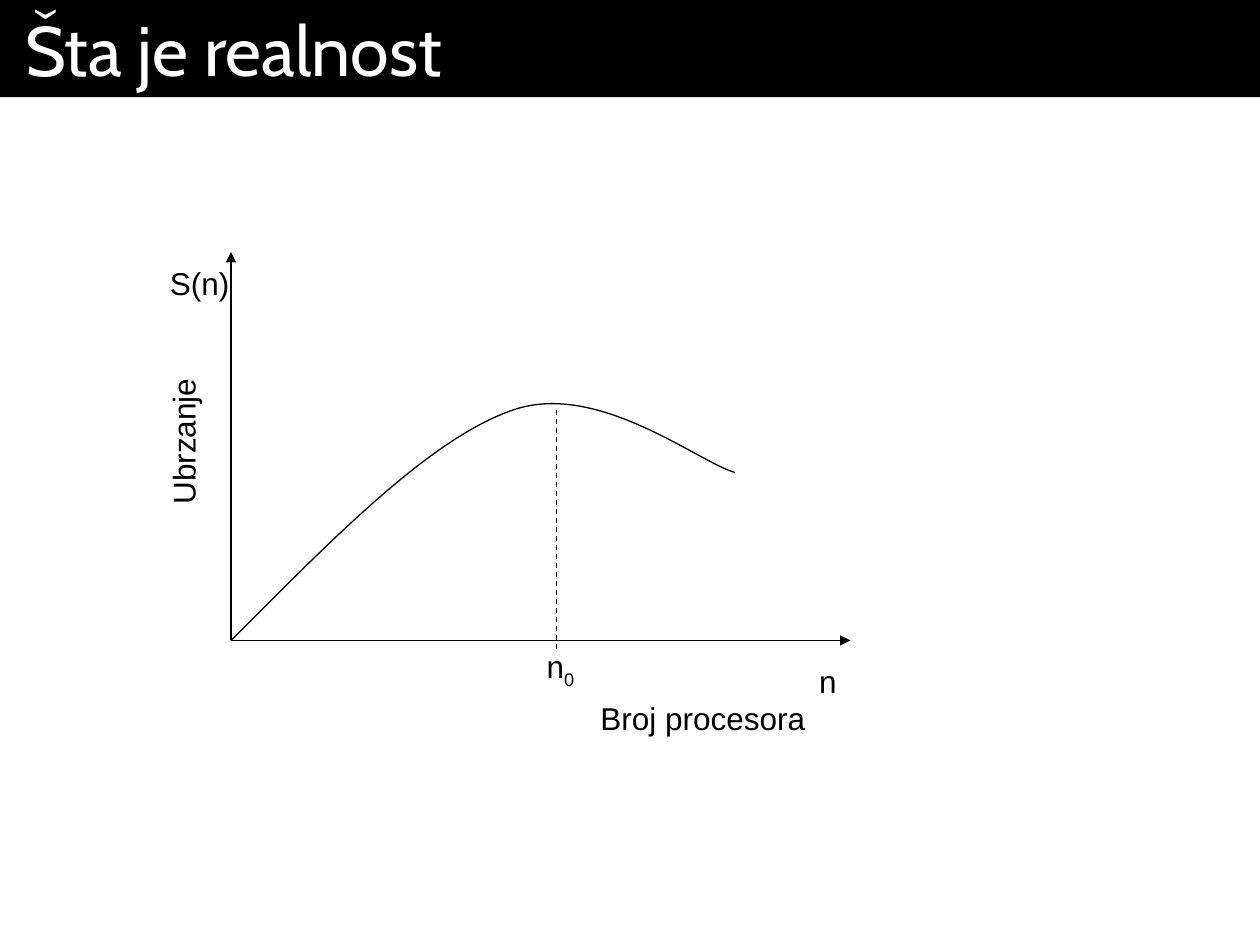
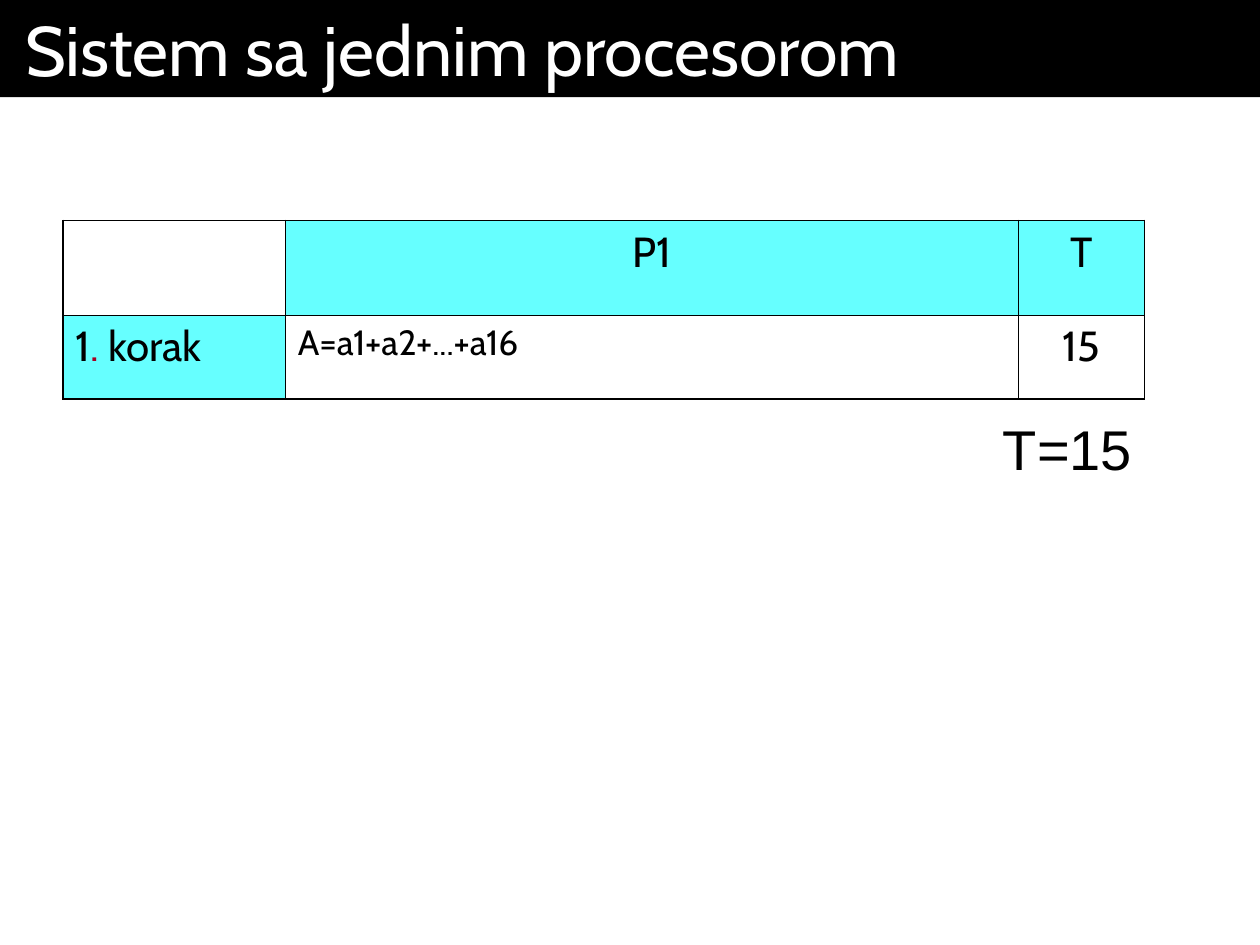
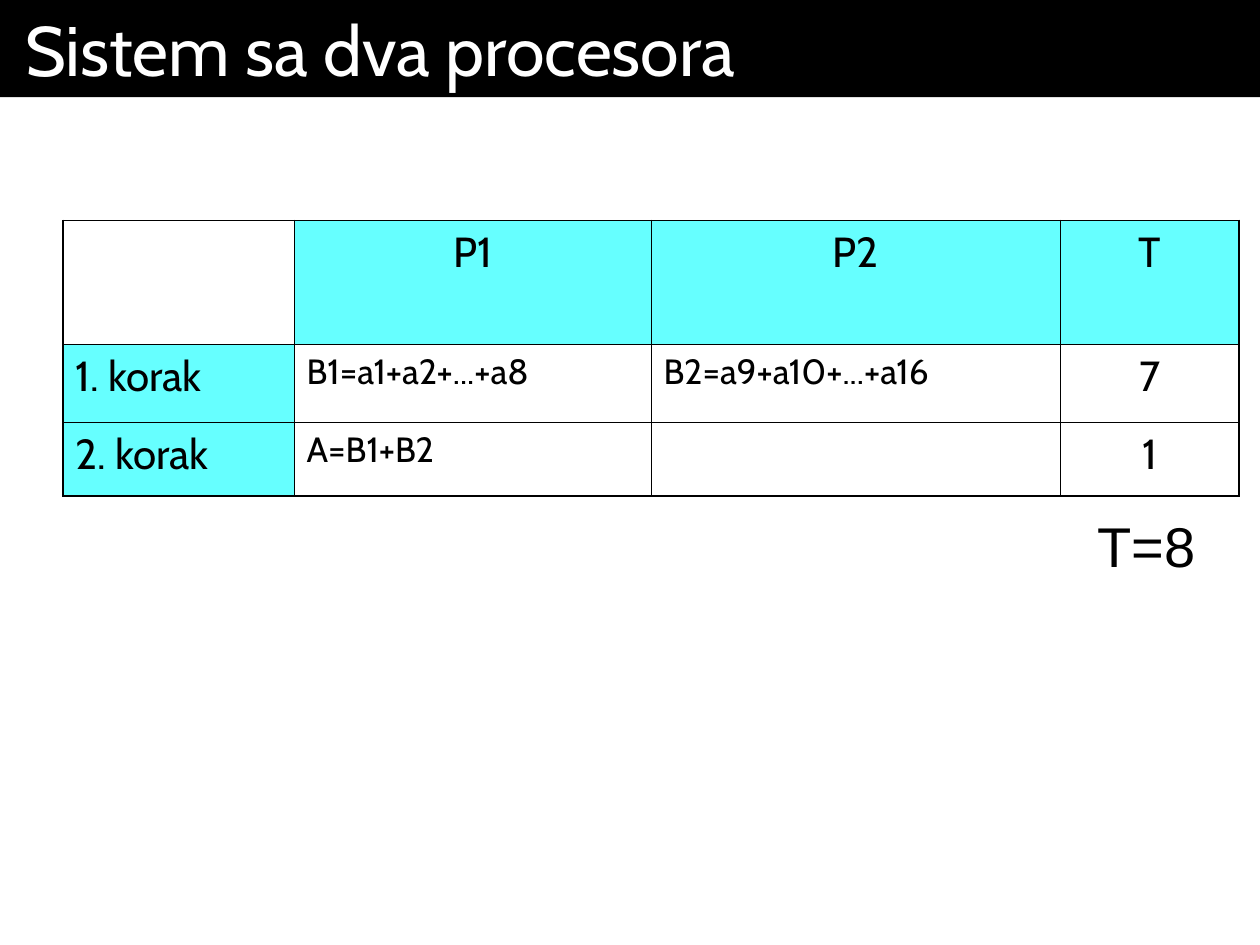
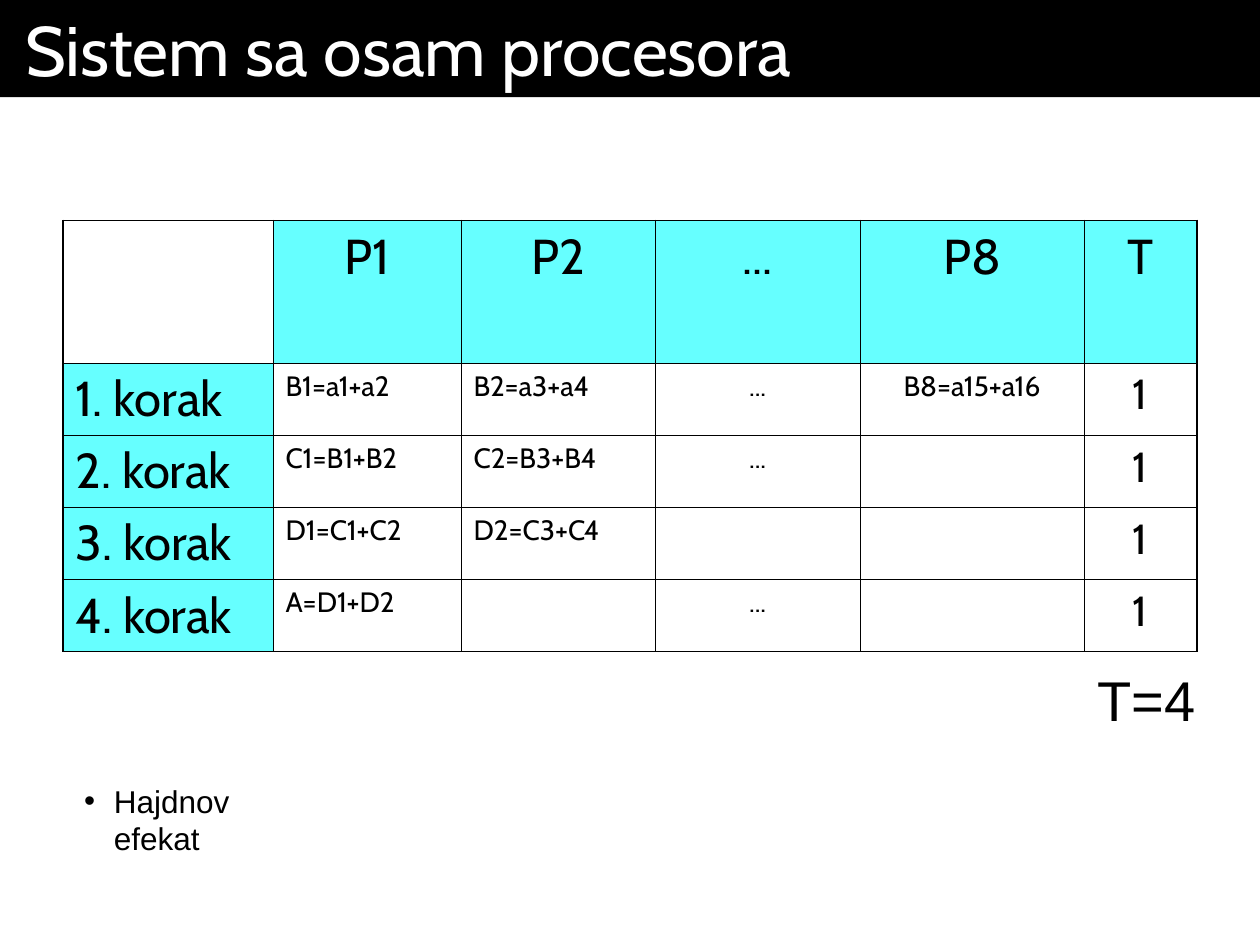
from lxml import etree
from pptx import Presentation
from pptx.dml.color import RGBColor
from pptx.enum import dml, shapes, text
from pptx.oxml import ns
from pptx.util import Pt

BLACK = RGBColor(0x00, 0x00, 0x00)
WHITE = RGBColor(0xFF, 0xFF, 0xFF)
CYAN = RGBColor(0x66, 0xFF, 0xFF)
DARK_RED = RGBColor(0xA5, 0x00, 0x21)

TITLE_FONT = "Cabin"
LABEL_FONT = "Arial"
SLIDE_WIDTH, SLIDE_HEIGHT = 720, 540
BAND_HEIGHT = 55.5
LINE_WIDTH = 0.75
OUTER_BORDER, INNER_BORDER = 1.08, 0.45
TABLE_LEFT, TABLE_TOP = 36, 126
STEP_TIME_SIZE = 24


def add_run(paragraph, words, size, font, color=BLACK):
    run = paragraph.add_run()
    run.text = words
    run.font.size = Pt(size)
    run.font.name = font
    run.font.color.rgb = color
    return run


def add_label(parent, box, words, size=18, anchor=text.MSO_ANCHOR.BOTTOM):
    """Unwrapped text box; box is left, top, width, height."""
    label = parent.add_textbox(*map(Pt, box))
    frame = label.text_frame
    frame.word_wrap = False
    frame.auto_size = text.MSO_AUTO_SIZE.SHAPE_TO_FIT_TEXT
    frame.vertical_anchor = anchor
    add_run(frame.paragraphs[0], words, size, LABEL_FONT)
    return label


def add_title_slide(presentation, title):
    """Blank slide with the black title band."""
    slide = presentation.slides.add_slide(presentation.slide_layouts[6])
    band = slide.shapes.add_shape(
        shapes.MSO_SHAPE.RECTANGLE, 0, 0, Pt(SLIDE_WIDTH), Pt(BAND_HEIGHT))
    band.shadow.inherit = False
    band.fill.solid()
    band.fill.fore_color.rgb = BLACK
    band.line.fill.background()
    frame = band.text_frame
    frame.word_wrap = True
    frame.vertical_anchor = text.MSO_ANCHOR.TOP
    frame.margin_left = frame.margin_right = Pt(14.4)
    paragraph = frame.paragraphs[0]
    paragraph.alignment = text.PP_ALIGN.LEFT
    add_run(paragraph, title, 40, TITLE_FONT, WHITE)
    return slide


# Speedup diagram

def add_line(parent, start, end, arrow=False, dashed=False):
    line = parent.add_connector(
        shapes.MSO_CONNECTOR.STRAIGHT, *map(Pt, (*start, *end)))
    line.line.color.rgb = BLACK
    line.line.width = Pt(LINE_WIDTH)
    if dashed:
        line.line.dash_style = dml.MSO_LINE.DASH
    if arrow:
        tail = etree.SubElement(line.line._get_or_add_ln(), ns.qn("a:tailEnd"))
        tail.set("type", "triangle")
    etree.SubElement(line._element.spPr, ns.qn("a:effectLst"))


def add_curve(parent, points):
    """Smooth curve: a start point, then three points for each Bezier segment."""
    builder = parent.build_freeform(*map(Pt, points[0]))
    builder.add_line_segments(
        [(Pt(x), Pt(y)) for x, y in points[1:]], close=False)
    curve = builder.convert_to_shape()
    curve.shadow.inherit = False
    curve.fill.background()
    curve.line.color.rgb = BLACK
    curve.line.width = Pt(LINE_WIDTH)
    # Join each three straight steps into one cubic segment
    outline = next(curve._element.iter(ns.qn("a:path")))
    steps = outline.findall(ns.qn("a:lnTo"))
    for first in range(0, len(steps), 3):
        segment = etree.SubElement(outline, ns.qn("a:cubicBezTo"))
        for step in steps[first:first + 3]:
            segment.append(step[0])
            outline.remove(step)


def add_speedup_diagram(slide, left, top, width):
    def at(x, y, *size):
        return (left + x, top + y, *size)

    plot = slide.shapes.add_group_shape().shapes
    origin = at(42, 222)

    # Axes
    add_line(plot, origin, at(42, 0), arrow=True)
    add_line(plot, origin, at(width, 222), arrow=True)
    add_label(plot, at(width - 25, 230.4, 26, 28.8), "n")
    add_label(plot, at(0, 3, 51, 28.8), "S(n)")

    # Curve with its peak marked
    add_curve(plot, [origin, at(99.6, 164.4), at(156, 106), at(204, 90),
                     at(252, 74), at(309, 120), at(330, 126)])
    add_line(plot, at(228, 90), at(228, 228), dashed=True)
    peak = add_label(plot, at(215.3, 222, 32, 31.7), "n")
    subscript = add_run(peak.text_frame.paragraphs[0], "0", 18, LABEL_FONT)
    subscript._r.get_or_add_rPr().set("baseline", "-25000")

    # Axis names
    add_label(slide.shapes, at(246, 252, 135, 28.8), "Broj procesora")
    vertical = add_label(slide.shapes, at(-32, 90.5, 93, 28.8), "Ubrzanje")
    vertical.rotation = 270


# Step tables

def set_borders(cell, widths):
    """Cell borders; widths are left, right, top, bottom."""
    properties = cell._tc.get_or_add_tcPr()
    for index, (side, width) in enumerate(zip("LRTB", widths)):
        border = etree.Element(ns.qn(f"a:ln{side}"), w=str(Pt(width)))
        fill = etree.SubElement(border, ns.qn("a:solidFill"))
        etree.SubElement(fill, ns.qn("a:srgbClr"), val=str(BLACK))
        properties.insert(index, border)


def add_step_table(slide, left, top, columns, heights, rows,
                   head_size, body_size, centred_from):
    """Table of steps; columns from centred_from on are centred. Returns its bottom."""
    frame = slide.shapes.add_table(
        len(heights), len(columns), Pt(left), Pt(top),
        Pt(sum(columns)), Pt(sum(heights)))
    table = frame.table
    table.first_row = table.horz_banding = False
    for column, width in zip(table.columns, columns):
        column.width = Pt(width)
    for row, height in zip(table.rows, heights):
        row.height = Pt(height)

    last_row, last_column = len(heights) - 1, len(columns) - 1
    for r, row in enumerate(rows):
        for c, content in enumerate(row):
            cell = table.cell(r, c)
            heading = (r == 0) != (c == 0)
            if heading:
                cell.fill.solid()
                cell.fill.fore_color.rgb = CYAN
                size = head_size
            else:
                cell.fill.background()
                size = STEP_TIME_SIZE if c == last_column else body_size
            edges = (c == 0, c == last_column, r == 0, r == last_row)
            set_borders(cell, [OUTER_BORDER if edge else INNER_BORDER
                               for edge in edges])
            if not content:
                continue
            paragraph = cell.text_frame.paragraphs[0]
            if c and (r == 0 or c >= centred_from):
                paragraph.alignment = text.PP_ALIGN.CENTER
            runs = [(content, BLACK)] if isinstance(content, str) else content
            for words, color in runs:
                add_run(paragraph, words, size, TITLE_FONT, color)
    return top + sum(heights)


def add_table_slide(presentation, title, total, total_left, total_width, **table):
    """Step table with the total time below it."""
    slide = add_title_slide(presentation, title)
    bottom = add_step_table(slide, TABLE_LEFT, TABLE_TOP, **table)
    add_label(slide.shapes, (total_left, bottom + 5.5, total_width, 46), total,
              size=32, anchor=text.MSO_ANCHOR.TOP)
    return slide


def add_bullet_note(slide, box, words):
    """Bulleted note, wrapped to the width of its box."""
    note = add_label(slide.shapes, box, words)
    note.text_frame.word_wrap = True
    properties = note.text_frame.paragraphs[0]._p.get_or_add_pPr()
    properties.set("marL", str(Pt(17)))
    properties.set("indent", str(-Pt(17)))
    etree.SubElement(properties, ns.qn("a:buFont"), typeface=LABEL_FONT)
    etree.SubElement(properties, ns.qn("a:buChar"), char="•")


def main():
    presentation = Presentation()
    presentation.slide_width = Pt(SLIDE_WIDTH)
    presentation.slide_height = Pt(SLIDE_HEIGHT)

    # Speedup against number of processors
    slide = add_title_slide(presentation, "Šta je realnost")
    add_speedup_diagram(slide, 90, 144, 396)

    # One processor
    add_table_slide(
        presentation, "Sistem sa jednim procesorom", "T=15", 566, 92,
        columns=[127, 419, 72], heights=[54, 48],
        rows=[["", "P1", "T"],
              [[("1", BLACK), (". ", DARK_RED), ("korak", BLACK)],
               "A=a1+a2+...+a16", "15"]],
        head_size=24, body_size=20, centred_from=2)

    # Two processors
    add_table_slide(
        presentation, "Sistem sa dva procesora", "T=8", 620, 73,
        columns=[132, 204, 234, 102], heights=[71, 44.5, 42],
        rows=[["", "P1", "P2", "T"],
              ["1. korak", "B1=a1+a2+...+a8", "B2=a9+a10+...+a16", "7"],
              ["2. korak", "A=B1+B2", "", "1"]],
        head_size=24, body_size=20, centred_from=3)

    # Eight processors
    slide = add_table_slide(
        presentation, "Sistem sa osam procesora", "T=4", 620, 73,
        columns=[120, 107.5, 111, 117, 128, 64.5], heights=[81.5] + [41] * 4,
        rows=[["", "P1", "P2", "...", "P8", "T"],
              ["1. korak", "B1=a1+a2", "B2=a3+a4", "...", "B8=a15+a16", "1"],
              ["2. korak", "C1=B1+B2", "C2=B3+B4", "...", "", "1"],
              ["3. korak", "D1=C1+C2", "D2=C3+C4", "", "", "1"],
              ["4. korak", "A=D1+D2", "", "...", "", "1"]],
        head_size=28, body_size=16, centred_from=3)
    add_bullet_note(slide, (41, 443, 140.4, 50.4), "Hajdnov efekat")

    presentation.save("out.pptx")


if __name__ == "__main__":
    main()
